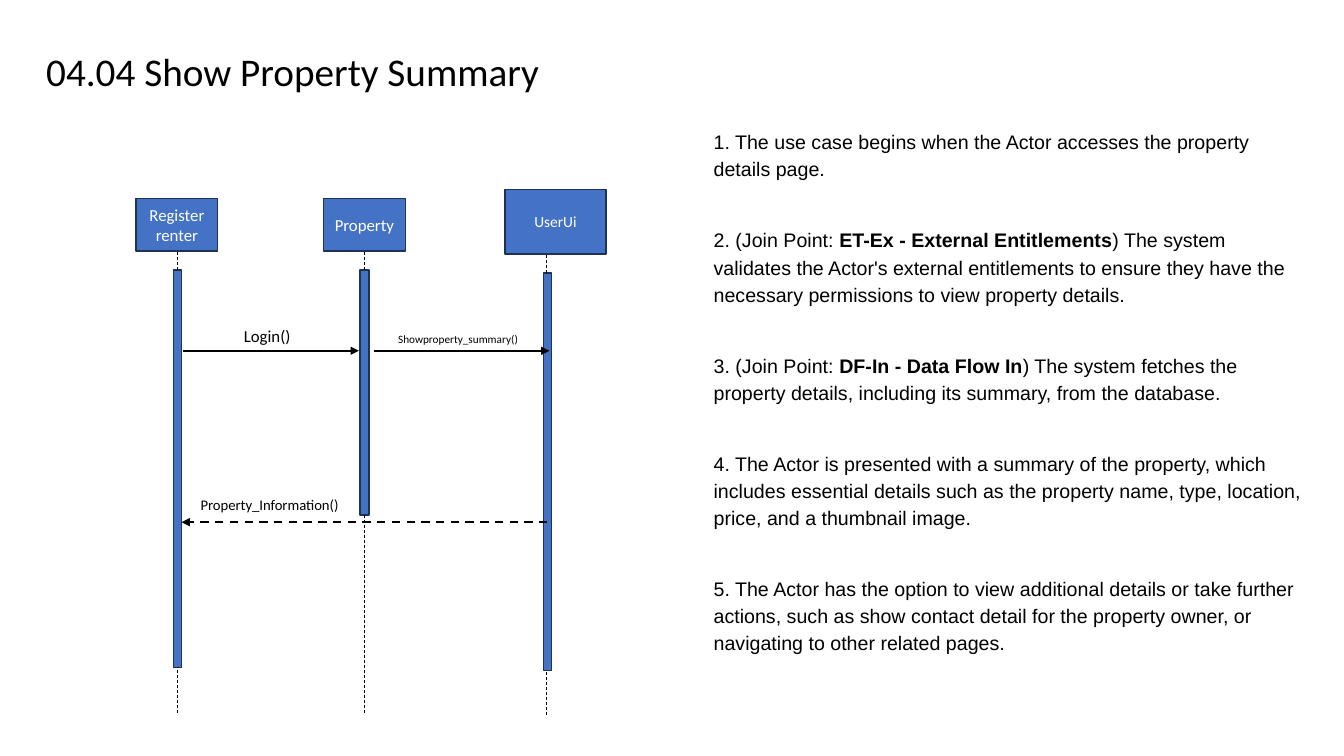
from dataclasses import dataclass

from lxml.etree import SubElement
from pptx import Presentation
from pptx.dml.color import RGBColor
from pptx.enum.dml import MSO_LINE
from pptx.enum.shapes import MSO_CONNECTOR, MSO_SHAPE
from pptx.enum.text import MSO_ANCHOR, PP_ALIGN
from pptx.oxml.ns import qn
from pptx.util import Inches, Pt

BLACK = RGBColor(0x00, 0x00, 0x00)
WHITE = RGBColor(0xFF, 0xFF, 0xFF)
BLUE = RGBColor(0x44, 0x72, 0xC4)
NAVY = RGBColor(0x1E, 0x32, 0x56)
STUB = 0.45  # lifeline length above each activation bar


@dataclass
class Lifeline:
    name: str
    header: tuple[float, float, float, float]
    size: float
    axis: float
    bar: tuple[float, float, float, float]
    foot: float


@dataclass
class Message:
    text: str
    label: tuple[float, float, float, float]
    size: float
    start: float
    end: float
    y: float
    dashed: bool = False


LIFELINES = [
    Lifeline("Register renter", (1.35, 1.97, 0.81, 0.52), 12, 1.76, (1.72, 2.68, 0.08, 3.94), 7.07),
    Lifeline("UserUi", (5.01, 1.88, 1, 0.64), 11, 5.42, (5.39, 2.71, 0.08, 3.94), 7.09),
    Lifeline("Property", (3.21, 1.97, 0.81, 0.52), 12, 3.61, (3.57, 2.68, 0.09, 2.43), 7.07),
]
MESSAGES = [
    Message("Showproperty_summary()", (3.85, 3.25, 1.49, 0.24), 8, 3.71, 5.45, 3.48),
    Message("Login()", (2.32, 3.18, 0.67, 0.3), 12, 1.82, 3.56, 3.48),
    Message("Property_Information()", (1.89, 4.87, 1.62, 0.28), 10.5, 5.43, 1.8, 5.18, dashed=True),
]
# Each step is a list of spans; every second span is bold
STEPS = [
    ["1. The use case begins when the Actor accesses the property details page."],
    ["2. (Join Point: ", "ET-Ex - External Entitlements",
     ") The system validates the Actor's external entitlements to ensure they have the "
     "necessary permissions to view property details."],
    ["3. (Join Point: ", "DF-In - Data Flow In",
     ") The system fetches the property details, including its summary, from the database."],
    ["4. The Actor is presented with a summary of the property, which includes essential "
     "details such as the property name, type, location, price, and a thumbnail image."],
    ["5. The Actor has the option to view additional details or take further actions, such as "
     "show contact detail for the property owner, or navigating to other related pages."],
]


def write(box, paragraphs: list[list[str]], *, size: float, font: str = "Calibri",
          color: RGBColor = BLACK, align=PP_ALIGN.LEFT, anchor=MSO_ANCHOR.TOP,
          line_spacing: float = 1.0, gap: float = 0) -> None:
    frame = box.text_frame
    frame.word_wrap = True
    frame.vertical_anchor = anchor
    for number, spans in enumerate(paragraphs):
        para = frame.add_paragraph() if number else frame.paragraphs[0]
        para.alignment = align
        para.line_spacing = line_spacing
        if number:
            para.space_before = Pt(gap)
        for index, text in enumerate(spans):
            span = para.add_run()
            span.text = text
            span.font.name = font
            span.font.size = Pt(size)
            span.font.bold = index % 2 == 1
            span.font.color.rgb = color


def add_text(page, area: tuple[float, float, float, float],
             paragraphs: list[list[str]], **style) -> None:
    box = page.shapes.add_textbox(*map(Inches, area))
    write(box, paragraphs, **style)


def add_block(page, area: tuple[float, float, float, float]):
    block = page.shapes.add_shape(MSO_SHAPE.RECTANGLE, *map(Inches, area))
    block.shadow.inherit = False
    block.fill.solid()
    block.fill.fore_color.rgb = BLUE
    block.line.color.rgb = NAVY
    block.line.width = Pt(1)
    return block


def add_line(page, x1: float, y1: float, x2: float, y2: float, *,
             width: float, dashed: bool, arrow: bool = False) -> None:
    line = page.shapes.add_connector(MSO_CONNECTOR.STRAIGHT, *map(Inches, (x1, y1, x2, y2)))
    line.line.color.rgb = BLACK
    line.line.width = Pt(width)
    if dashed:
        line.line.dash_style = MSO_LINE.DASH
    if arrow:
        SubElement(line.line._get_or_add_ln(), qn("a:tailEnd"), type="triangle")
    SubElement(line._element.spPr, qn("a:effectLst"))


def add_lifeline(page, lifeline: Lifeline) -> None:
    top, height = lifeline.bar[1], lifeline.bar[3]
    add_block(page, lifeline.bar)
    for y1, y2 in ((top, top - STUB), (lifeline.foot, top + height)):
        add_line(page, lifeline.axis, y1, lifeline.axis, y2, width=0.5, dashed=True)
    write(add_block(page, lifeline.header), [[lifeline.name]], size=lifeline.size,
          color=WHITE, align=PP_ALIGN.CENTER, anchor=MSO_ANCHOR.MIDDLE)


def add_message(page, message: Message) -> None:
    add_line(page, message.start, message.y, message.end, message.y,
             width=1.5, dashed=message.dashed, arrow=True)
    add_text(page, message.label, [[message.text]], size=message.size)


def main() -> None:
    deck = Presentation()
    deck.slide_width, deck.slide_height = Inches(13.33), Inches(7.5)
    page = deck.slides.add_slide(deck.slide_layouts[6])

    # Title
    add_text(page, (0.36, 0.43, 5.15, 0.61), [["04.04 Show Property Summary"]],
             size=28, anchor=MSO_ANCHOR.MIDDLE, line_spacing=0.9)

    # Sequence diagram
    for lifeline in LIFELINES:
        add_lifeline(page, lifeline)
    for message in MESSAGES:
        add_message(page, message)

    # Use case steps
    add_text(page, (6.98, 1.21, 6.06, 5.36), STEPS, size=14, font="Arial",
             line_spacing=1.15, gap=31.4)

    deck.save("out.pptx")


if __name__ == "__main__":
    main()
